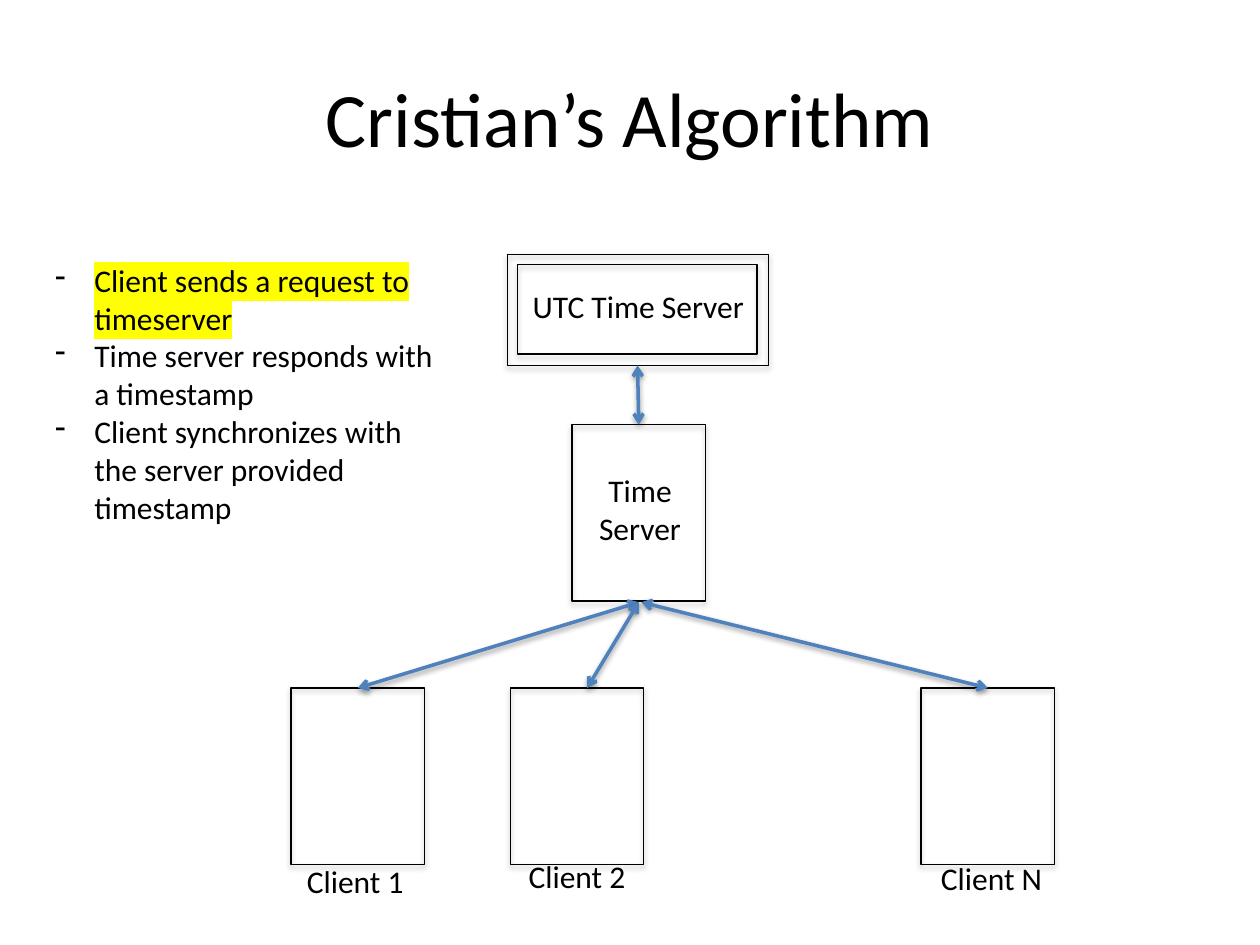
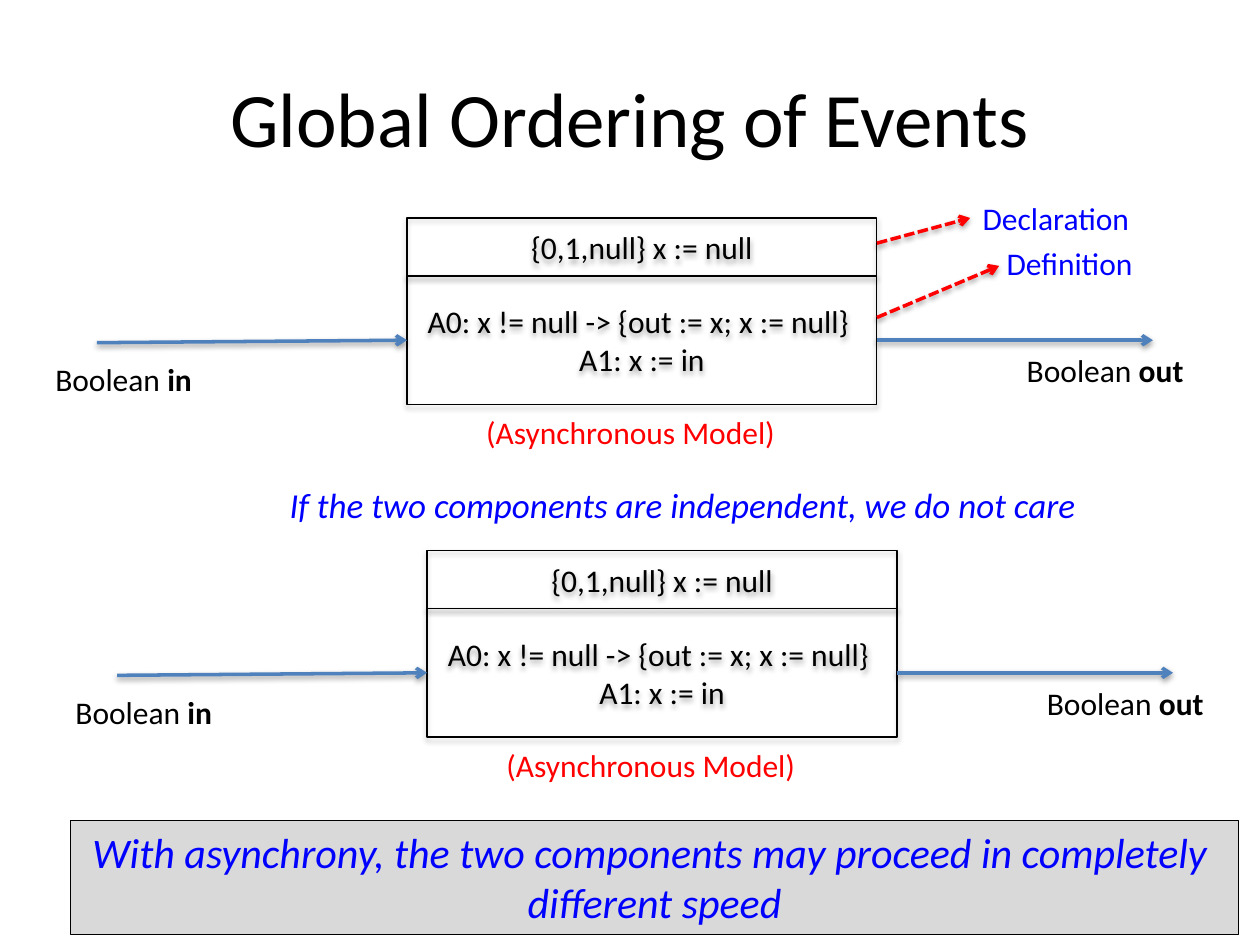
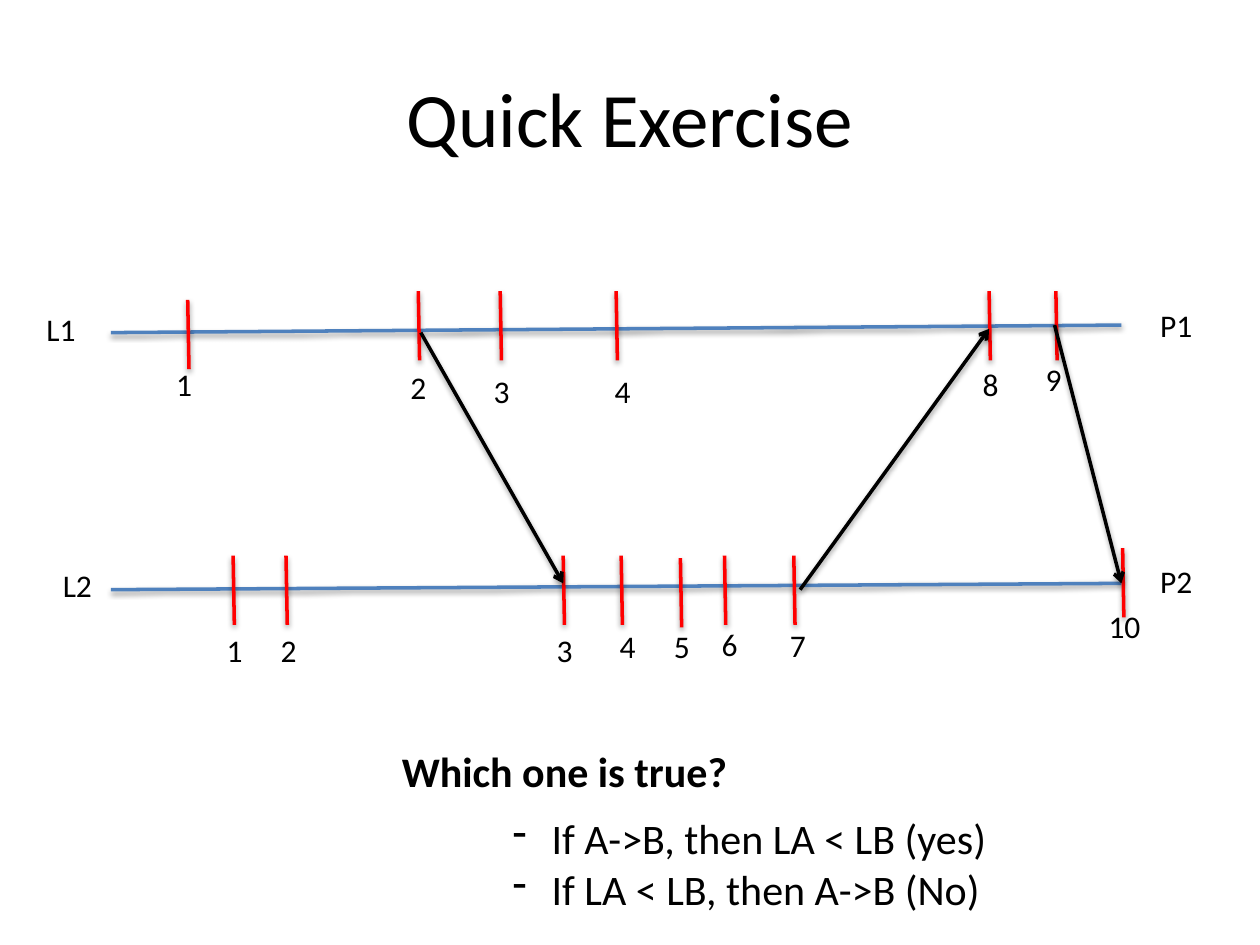
from pptx import Presentation
from pptx import util as u
from pptx.dml import color
from pptx.enum import dml, shapes, text
from pptx.oxml import ns, parse_xml

BLACK, BLUE, RED, INK = "000000", "4F81BD", "FF0000", "0000FF"
GREY, YELLOW = "D9D9D9", "FFFF00"
FONT = {"name": "Calibri", "size": u.Pt(18)}
LARGE = {"size": u.Pt(24)}
CENTER = text.PP_ALIGN.CENTER
INDENT = u.Inches(0.31)
SHADOW = (
    f'<a:outerShdw {ns.nsdecls("a")} blurRad="40000" dist="%d" dir="5400000" '
    'rotWithShape="0"><a:srgbClr val="000000"><a:alpha val="%d"/></a:srgbClr></a:outerShdw>'
)
hue = color.RGBColor.from_string

deck = Presentation()
deck.slide_width, deck.slide_height = u.Inches(10), u.Inches(7.5)
COLUMN, ROW = deck.slide_width / 10, deck.slide_height / 7.5


def add_box(page, at, lines=(), colour=BLACK, align=None, outline=False, fill=None,
            bullet=False, wrap=False, anchor=text.MSO_ANCHOR.TOP, **font):
    place = [round(n * unit) for n, unit in zip(at, (COLUMN, ROW, COLUMN, ROW))]
    if outline:
        box = page.shapes.add_shape(shapes.MSO_SHAPE.RECTANGLE, *place)
        box.line.color.rgb = hue(BLACK)
        box.line.width = u.Pt(0.75)
        box.shadow.inherit = False
        if fill:
            box.fill.solid()
            box.fill.fore_color.rgb = hue(fill)
        else:
            box.fill.background()
            effects = box._element.spPr.find(ns.qn("a:effectLst"))
            effects.append(parse_xml(SHADOW % (23000, 35000)))
    else:
        box = page.shapes.add_textbox(*place)
    frame = box.text_frame
    frame.word_wrap = wrap
    frame.vertical_anchor = anchor
    if anchor == text.MSO_ANCHOR.TOP and lines:
        frame.auto_size = text.MSO_AUTO_SIZE.SHAPE_TO_FIT_TEXT
    for number, line in enumerate(lines):
        para = frame.add_paragraph() if number else frame.paragraphs[0]
        para.alignment = align
        if bullet:
            layout = para._p.get_or_add_pPr()
            layout.set("marL", str(INDENT))
            layout.set("indent", str(-INDENT))
            layout.append(parse_xml(f'<a:buFontTx {ns.nsdecls("a")}/>'))
            layout.append(parse_xml(f'<a:buChar {ns.nsdecls("a")} char="-"/>'))
        plain, _, strong = line.partition("|")
        for words, extra in ((plain, {}), (strong, {"bold": True})):
            if words:
                span = para.add_run()
                span.text = words
                for name, value in {**FONT, **font, **extra}.items():
                    setattr(span.font, name, value)
                span.font.color.rgb = hue(colour)
    return box


def add_line(page, start, end, colour=BLUE, ends=(), dash=None):
    points = [round(n * unit) for n, unit in zip(start + end, (COLUMN, ROW, COLUMN, ROW))]
    line = page.shapes.add_connector(shapes.MSO_CONNECTOR.STRAIGHT, *points)
    line.line.color.rgb = hue(colour)
    line.line.width = u.Pt(2)
    if dash:
        line.line.dash_style = dash
    for end_name in ends:
        stroke = line.line._get_or_add_ln()
        stroke.append(parse_xml(f'<a:{end_name} {ns.nsdecls("a")} type="arrow"/>'))
    effects = parse_xml(f'<a:effectLst {ns.nsdecls("a")}/>')
    effects.append(parse_xml(SHADOW % (20000, 38000)))
    line._element.spPr.append(effects)


pages = []
for title in ("Cristian’s Algorithm", "Global Ordering of Events", "Quick Exercise"):
    page = deck.slides.add_slide(deck.slide_layouts[6])
    add_box(page, (0.5, 0.3, 9, 1.25), [title], align=CENTER, wrap=True,
            anchor=text.MSO_ANCHOR.MIDDLE, size=u.Pt(44))
    pages.append(page)
clock_page, order_page, exercise_page = pages

BOTH, FORWARD = ("headEnd", "tailEnd"), ("tailEnd",)
for frame_at in ((4.11, 2.1, 1.9, 0.71), (4.03, 2.02, 2.07, 0.88), (4.54, 3.37, 1.06, 1.4)):
    add_box(clock_page, frame_at, outline=True)
add_box(clock_page, (4.13, 2.23, 1.9, 0.4), ["UTC Time Server"])
add_box(clock_page, (4.65, 3.69, 0.86, 0.71), ["Time", "Server"], align=CENTER)
add_line(clock_page, (5.06, 2.9), (5.07, 3.37), ends=BOTH)
for name, left, label_left, label_top, server_x, client_x in (
    ("Client 1", 2.31, 1.94, 6.79, 5.07, 2.84),
    ("Client 2", 4.05, 3.7, 6.75, 5.07, 4.66),
    ("Client N", 7.31, 6.99, 6.77, 5.09, 7.84),
):
    add_box(clock_page, (left, 5.46, 1.06, 1.4), outline=True)
    add_box(clock_page, (label_left, label_top, 1.76, 0.4), [name], align=CENTER, wrap=True)
    add_line(clock_page, (server_x, 4.78), (client_x, 5.46), ends=BOTH)
steps = add_box(clock_page, (0.34, 2.02, 3.2, 2.22), [
    "Client sends a request to timeserver",
    "Time server responds with a timestamp",
    "Client synchronizes with the server provided timestamp",
], bullet=True, wrap=True)
first_step = steps.text_frame.paragraphs[0].runs[0]._r.get_or_add_rPr()
first_step.find(ns.qn("a:solidFill")).addnext(parse_xml(
    f'<a:highlight {ns.nsdecls("a")}><a:srgbClr val="{YELLOW}"/></a:highlight>'))

for x, y in ((0, 0), (0.16, 2.64)):
    for top, height, lines in (
        (2.19, 1.02, ["A0: x != null -> {out := x; x := null} ", "A1: x := in"]),
        (1.73, 0.46, ["{0,1,null} x := null"]),
    ):
        add_box(order_page, (3.23 + x, top + y, 3.73, height), lines, align=CENTER,
                outline=True, wrap=True, anchor=text.MSO_ANCHOR.MIDDLE)
    add_line(order_page, (0.77 + x, 2.72 + y), (3.23 + x, 2.7 + y), ends=FORWARD)
    add_line(order_page, (6.96 + x, 2.7 + y), (9.15 + x, 2.7 + y), ends=FORWARD)
    add_box(order_page, (0.34 + x, 2.81 + y, 1.29, 0.4), ["Boolean |in"])
    add_box(order_page, (8.05 + x, 2.74 + y, 1.45, 0.4), ["Boolean |out"])
    add_box(order_page, (3.76 + x, 3.23 + y, 2.53, 0.4), ["(Asynchronous Model)"], RED)
add_box(order_page, (0.56, 6.51, 9.27, 0.91), [
    "With asynchrony, the two components may proceed in completely ",
    "different speed",
], INK, CENTER, outline=True, fill=GREY, italic=True, **LARGE)
add_box(order_page, (2.2, 3.79, 6.59, 0.44),
        ["If the two components are independent, we do not care"],
        INK, italic=True, size=u.Pt(20))
for name, at, start, end in (
    ("Declaration", (7.7, 1.53, 1.38, 0.4), (6.96, 1.93), (7.7, 1.73)),
    ("Definition", (7.89, 1.89, 1.21, 0.4), (6.96, 2.52), (7.93, 2.11)),
):
    add_box(order_page, at, [name], INK)
    add_line(order_page, start, end, RED, FORWARD, dml.MSO_LINE.SQUARE_DOT)

for process, clock, clock_at, process_top, axis_start, axis_end, events in (
    ("P1", "L1", (0.27, 2.41), 2.38, 2.64, 2.58, (
        ("1", 1.49, 2.38, 1.3, 2.85), ("2", 3.32, 2.31, 3.16, 2.87),
        ("3", 3.97, 2.31, 3.82, 2.9), ("4", 4.89, 2.31, 4.78, 2.9),
        ("8", 7.85, 2.31, 7.7, 2.85), ("9", 8.38, 2.31, 8.2, 2.81))),
    ("P2", "L2", (0.4, 4.44), 4.41, 4.68, 4.63, (
        ("1", 1.85, 4.41, 1.7, 4.96), ("2", 2.27, 4.41, 2.13, 4.96),
        ("3", 4.47, 4.41, 4.32, 4.96), ("4", 4.93, 4.41, 4.82, 4.93),
        ("5", 5.4, 4.43, 5.25, 4.93), ("6", 5.75, 4.41, 5.63, 4.91),
        ("7", 6.3, 4.41, 6.17, 4.92), ("10", 8.91, 4.35, 8.7, 4.77))),
):
    add_line(exercise_page, (0.88, axis_start), (8.9, axis_end))
    add_box(exercise_page, (9.11, process_top, 0.46, 0.4), [process])
    add_box(exercise_page, clock_at + (0.44, 0.4), [clock])
    for stamp, tick_x, tick_top, left, top in events:
        add_line(exercise_page, (tick_x, tick_top), (tick_x + 0.01, tick_top + 0.55), RED)
        add_box(exercise_page, (left, top, 0.2 + 0.13 * len(stamp), 0.4), [stamp])
for sent, received in (
    ((3.34, 2.64), (4.47, 4.63)),
    ((6.35, 4.68), (7.85, 2.61)),
    ((8.37, 2.58), (8.9, 4.63)),
):
    add_line(exercise_page, sent, received, BLACK, FORWARD)
add_box(exercise_page, (3.09, 5.87, 2.81, 0.5), ["Which one is true?"], bold=True, **LARGE)
add_box(exercise_page, (3.97, 6.4, 4.16, 0.91),
        ["If A->B, then LA < LB (yes)", "If LA < LB, then A->B (No)"], bullet=True, **LARGE)

deck.save("out.pptx")
